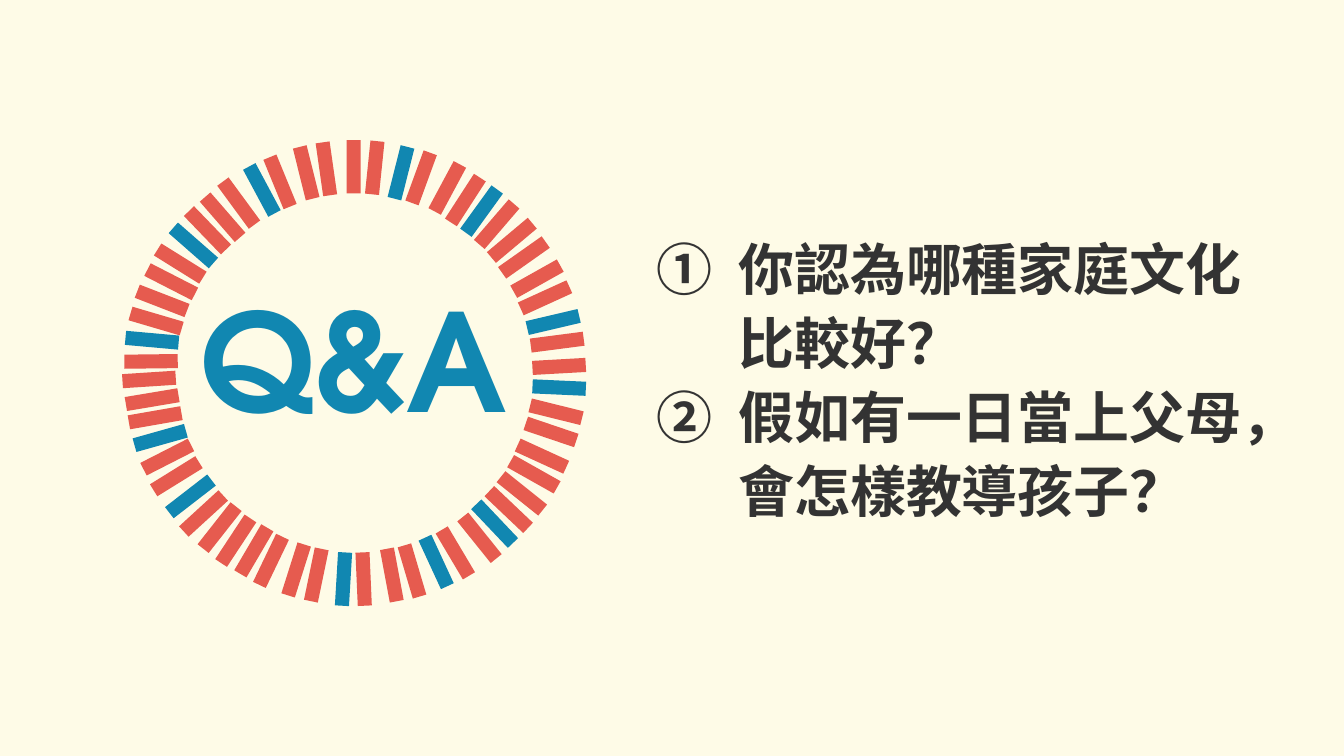
from lxml import etree
from pptx import Presentation, util as u
from pptx.dml.color import RGBColor
from pptx.enum import shapes, text
from pptx.oxml.ns import qn

RED, BLUE, CREAM, DARK = "E65B4F", "1187B1", "FEFBE7", "333333"
BAR = (0.14, 0.53)

# Tilt of each bar in a quarter of the ring, from the vertical
TILTS = [0, 5.9, 14.2, 20.1, 28.2, 32.9, 35.9, 40.7, 50, 54.8, 60.7,
         65.5, 76.8, 82.6, 83, 88.8]

# Each quarter: direction, extra tilt, blue bars, left and top of each bar
QUARTERS = [
    (1, 0, {2, 6, 12}, [
        (3.44, 1.39), (3.65, 1.4), (3.91, 1.45), (4.11, 1.5), (4.37, 1.6),
        (4.55, 1.72), (4.71, 1.83), (4.86, 1.96), (5.01, 2.12), (5.13, 2.29),
        (5.26, 2.5), (5.34, 2.69), (5.42, 2.93), (5.46, 3.13)]),
    (-1, 8.1, {3, 7, 12}, [
        (3.17, 1.41), (2.97, 1.45), (2.71, 1.54), (2.53, 1.62), (2.3, 1.75),
        (2.14, 1.89), (1.99, 2.02), (1.85, 2.17), (1.72, 2.35), (1.63, 2.53),
        (1.54, 2.72), (1.48, 2.92), (1.44, 3.11), (1.43, 3.32)]),
    (-1, 10.6, {2, 5, 12}, [
        (3.82, 5.44), (4.02, 5.4), (4.26, 5.31), (4.45, 5.22), (4.69, 5.07),
        (4.84, 4.93), (4.98, 4.79), (5.11, 4.63), (5.23, 4.44), (5.31, 4.26),
        (5.4, 4.02), (5.45, 3.82), (5.48, 3.58), (5.48, 3.37)]),
    (1, -2.5, {1, 9, 12}, [
        (3.54, 5.48), (3.34, 5.48), (3.07, 5.44), (2.87, 5.39), (2.62, 5.3),
        (2.45, 5.2), (2.27, 5.1), (2.11, 4.97), (1.95, 4.83), (1.82, 4.66),
        (1.68, 4.46), (1.59, 4.27), (1.52, 4.08), (1.47, 3.88), (1.44, 3.7),
        (1.41, 3.5)]),
]


def size(inch):
    return u.Cm(inch * 2.54)


def color(code):
    return RGBColor.from_string(code)


class Deck:
    font = {"name": "TeX Gyre Adventor", "bold": True}

    def __init__(self, wide, high, back):
        self.prs = Presentation()
        self.prs.slide_width, self.prs.slide_height = size(wide), size(high)
        self.slide = self.prs.slides.add_slide(self.prs.slide_layouts[6])
        fill = self.slide.background.fill
        fill.solid()
        fill.fore_color.rgb = color(back)

    def group(self):
        return self.slide.shapes.add_group_shape()

    def bar(self, home, spot, tilt, tone):
        bar = home.shapes.add_shape(shapes.MSO_SHAPE.RECTANGLE,
                                    *map(size, spot + BAR))
        bar.rotation = tilt % 360
        bar.shadow.inherit = False
        bar.fill.solid()
        bar.fill.fore_color.rgb = color(tone)
        bar.line.fill.background()

    def words(self, home, box, lines, points, tone, wrap=True, **form):
        """Add a text box; form holds paragraph formats."""
        frame = home.shapes.add_textbox(*map(size, box)).text_frame
        frame.word_wrap = wrap
        frame.auto_size = text.MSO_AUTO_SIZE.SHAPE_TO_FIT_TEXT
        frame.text = "\n".join(lines)
        for para in frame.paragraphs:
            for key, value in form.items():
                setattr(para, key, value)
            font = para.runs[0].font
            for key, value in {**self.font, "size": u.Pt(points)}.items():
                setattr(font, key, value)
            font.color.rgb = color(tone)
        return frame

    def number(self, frame, indent):
        """Number the paragraphs with circled digits and a hanging indent."""
        for para in frame.paragraphs:
            props = para._p.get_or_add_pPr()
            props.set("marL", str(size(indent)))
            props.set("indent", str(-size(indent)))
            mark = etree.SubElement(props, qn("a:buAutoNum"))
            mark.set("type", "circleNumWdWhitePlain")


def main():
    deck = Deck(13.34, 7.5, CREAM)
    badge = deck.group()
    for way, extra, blues, spots in QUARTERS:
        for i, (tilt, spot) in enumerate(zip(TILTS, spots)):
            deck.bar(badge, spot, way * (tilt + extra),
                     BLUE if i in blues else RED)
    deck.words(badge, (1.87, 2.7, 3.28, 1.73), ["Q&A"], 97, BLUE, wrap=False,
               alignment=text.PP_ALIGN.CENTER)
    asks = deck.words(deck.slide, (6.42, 2.21, 6.33, 3.06),
                      ["你認為哪種家庭文化比較好？",
                       "假如有一日當上父母，會怎樣教導孩子？"],
                      40, DARK, line_spacing=1.1)
    deck.number(asks, 0.81)
    deck.prs.save("out.pptx")


if __name__ == "__main__":
    main()
